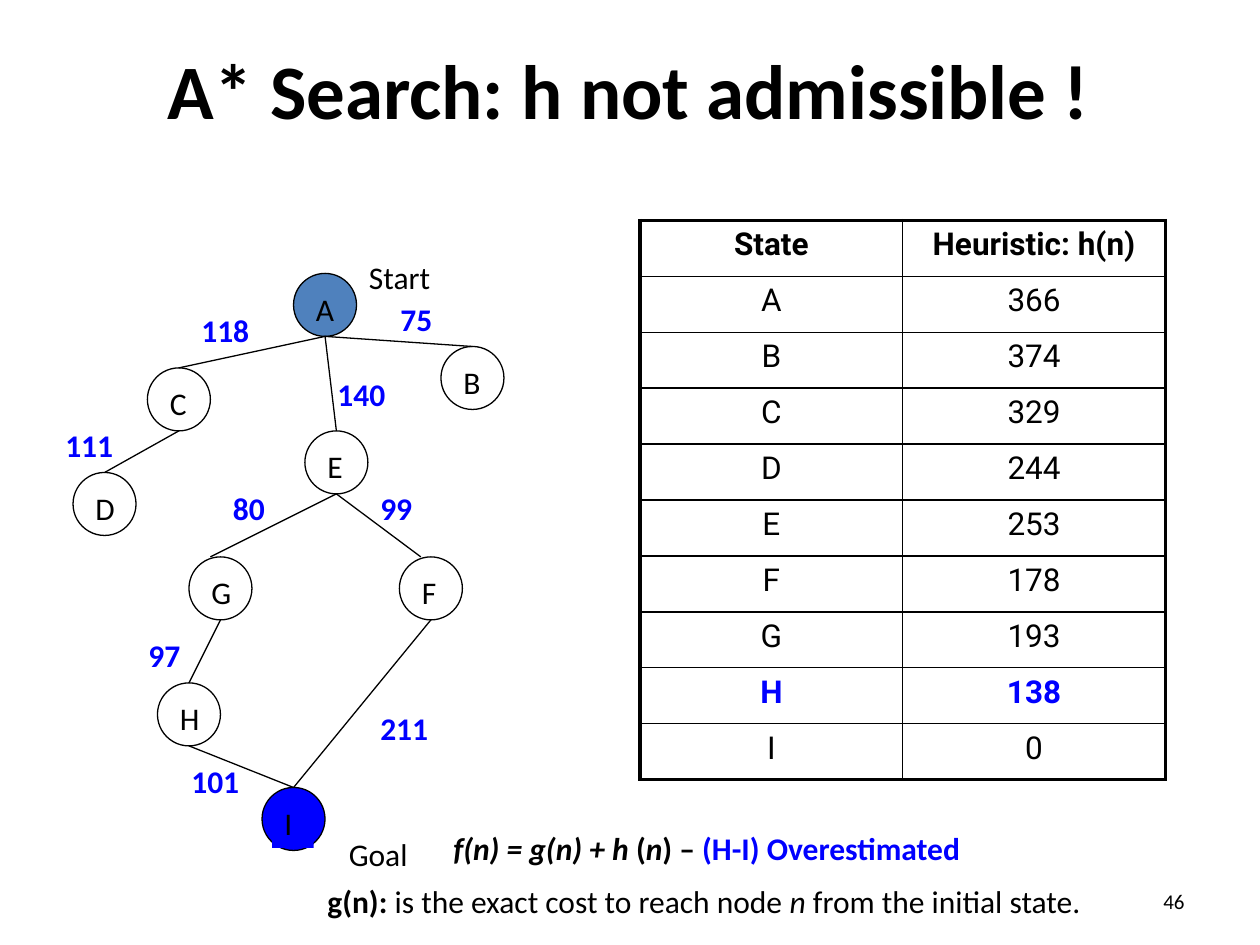
from lxml.etree import SubElement
from pptx import Presentation
from pptx.dml.color import RGBColor
from pptx.enum.shapes import MSO_CONNECTOR, MSO_SHAPE
from pptx.enum.text import MSO_ANCHOR, PP_ALIGN
from pptx.oxml.ns import qn
from pptx.util import Inches, Pt

BLACK = "000000"
BLUE = "0000FF"
DIAMETER = 0.5
LABEL_INSET = 0.08

NODES = {
    "A": (2.33, 2.17, "4F81BD"),
    "B": (3.5, 2.75, None),
    "D": (0.58, 3.75, None),
    "C": (1.17, 2.92, None),
    "E": (2.42, 3.42, None),
    "F": (3.17, 4.42, None),
    "I": (2.08, 6.25, BLUE),
    "G": (1.5, 4.42, None),
    "H": (1.25, 5.42, None),
}
EDGES = [
    ("E", "F", -0.08), ("F", "I", 0), ("E", "G", -0.08), ("G", "H", 0), ("H", "I", 0),
    ("A", "B", 0), ("A", "E", 0), ("A", "C", 0), ("C", "D", 0),
]
COSTS = [
    ("99", 2.92, 3.83, 0.67), ("211", 2.92, 5.58, 0.83), ("80", 1.75, 3.83, 0.67),
    ("97", 1.08, 5, 0.67), ("101", 1.42, 6, 0.92), ("75", 3.08, 2.33, 0.67),
    ("118", 1.5, 2.42, 0.83), ("111", 0.42, 3.33, 0.83), ("140", 2.58, 2.93, 0.83),
]
HEURISTICS = [
    ("State", "Heuristic: h(n)"), ("A", "366"), ("B", "374"), ("C", "329"), ("D", "244"),
    ("E", "253"), ("F", "178"), ("G", "193"), ("H", "138"), ("I", "0"),
]
FORMULA = [
    ("\tf(n) = g(n) + h ", True, True, BLACK),
    ("(", True, False, BLACK),
    ("n", True, True, BLACK),
    (") – ", True, False, BLACK),
    ("(H-I) Overestimated", True, False, BLUE),
]
DEFINITION = [
    ("g(n): ", True, False, BLACK),
    ("is the exact cost to reach node ", False, False, BLACK),
    ("n", False, True, BLACK),
    (" from the initial state.", False, False, BLACK),
]


def rgb(color):
    return RGBColor.from_string(color)


def set_font(font, size=18, color=BLACK, bold=False, italic=False, name="Calibri"):
    font.name = name
    font.size = Pt(size)
    font.color.rgb = rgb(color)
    font.bold = bold
    font.italic = italic


def add_label(shapes, text, left, top, width, color=BLACK, bold=False, size=18):
    label = shapes.add_textbox(Inches(left), Inches(top), Inches(width), Inches(0.4))
    label.text_frame.word_wrap = True
    paragraph = label.text_frame.paragraphs[0]
    paragraph.text = text
    set_font(paragraph.font, size, color, bold)
    return label


def add_node(shapes, name, left, top, color):
    node = shapes.add_group_shape()
    circle = node.shapes.add_shape(
        MSO_SHAPE.OVAL, Inches(left), Inches(top), Inches(DIAMETER), Inches(DIAMETER))
    circle.shadow.inherit = False
    circle.line.color.rgb = rgb(BLACK)
    circle.line.width = Pt(0.75)
    label = add_label(node.shapes, name, left + LABEL_INSET, top + LABEL_INSET, 0.33)
    if color is None:
        circle.fill.background()
    else:
        circle.fill.solid()
        circle.fill.fore_color.rgb = rgb(color)
    if color == BLUE:
        label.fill.solid()
        label.fill.fore_color.rgb = rgb(color)


def add_edge(shapes, parent, child, shift):
    parent_left, parent_top, _ = NODES[parent]
    child_left, child_top, _ = NODES[child]
    edge = shapes.add_connector(
        MSO_CONNECTOR.STRAIGHT,
        Inches(parent_left + DIAMETER / 2), Inches(parent_top + DIAMETER),
        Inches(child_left + DIAMETER / 2 + shift), Inches(child_top))
    edge.line.color.rgb = rgb(BLACK)
    edge.line.width = Pt(0.75)
    SubElement(edge._element.spPr, qn("a:effectLst"))


def add_border(cell, side, width):
    border = SubElement(cell._tc.get_or_add_tcPr(), qn(f"a:ln{side}"), w=str(Pt(width)))
    fill = SubElement(border, qn("a:solidFill"))
    SubElement(fill, qn("a:srgbClr"), val=BLACK)


def add_heuristics(shapes):
    rows, columns = len(HEURISTICS), len(HEURISTICS[0])
    table = shapes.add_table(
        rows, columns, Inches(5.08), Inches(1.75), Inches(4.17), Inches(4.44)).table
    table.first_row = False
    table.horz_banding = False
    for row, values in enumerate(HEURISTICS):
        for column, value in enumerate(values):
            cell = table.cell(row, column)
            outer_sides = {
                "L": column == 0, "R": column == columns - 1,
                "T": row == 0, "B": row == rows - 1,
            }
            for side, outer in outer_sides.items():
                add_border(cell, side, 2.25 if outer else 1)
            cell.fill.background()
            paragraph = cell.text_frame.paragraphs[0]
            paragraph.text = value
            paragraph.alignment = PP_ALIGN.CENTER
            overestimated = values[0] == "H"
            set_font(paragraph.font, color=BLUE if overestimated else BLACK,
                     bold=row == 0 or overestimated, name="Roboto")


def add_tab_stop(paragraph, position):
    tab_stops = SubElement(paragraph._p.get_or_add_pPr(), qn("a:tabLst"))
    SubElement(tab_stops, qn("a:tab"), pos=str(Inches(position)), algn="l")


def add_explanation(shapes):
    explanation = shapes.add_textbox(Inches(2.5), Inches(6.53), Inches(7.25), Inches(1.3))
    frame = explanation.text_frame
    frame.word_wrap = True
    formula, definition = frame.paragraphs[0], frame.add_paragraph()
    add_tab_stop(formula, 1)
    definition.space_before = Pt(9)
    for paragraph, pieces in ((formula, FORMULA), (definition, DEFINITION)):
        for text, bold, italic, color in pieces:
            run = paragraph.add_run()
            run.text = text
            set_font(run.font, color=color, bold=bold, italic=italic)


def add_title(slide):
    title = slide.shapes.title
    title.left, title.top = Inches(0.08), Inches(0.08)
    title.width, title.height = Inches(9.83), Inches(1.25)
    title.text_frame.vertical_anchor = MSO_ANCHOR.MIDDLE
    paragraph = title.text_frame.paragraphs[0]
    paragraph.text = "A* Search: h not admissible !"
    paragraph.alignment = PP_ALIGN.CENTER
    set_font(paragraph.font, size=44, bold=True)


def main():
    presentation = Presentation()
    presentation.slide_width, presentation.slide_height = Inches(10), Inches(7.5)
    slide = presentation.slides.add_slide(presentation.slide_layouts[5])
    shapes = slide.shapes
    add_title(slide)
    add_heuristics(shapes)
    page_number = add_label(shapes, "46", 7.17, 6.95, 2.33, size=12)
    page_number.text_frame.vertical_anchor = MSO_ANCHOR.MIDDLE
    page_number.text_frame.paragraphs[0].alignment = PP_ALIGN.RIGHT
    for name, (left, top, color) in NODES.items():
        add_node(shapes, name, left, top, color)
    for parent, child, shift in EDGES:
        add_edge(shapes, parent, child, shift)
    add_label(shapes, "Start", 2.83, 2, 1.33)
    add_label(shapes, "Goal", 2.67, 6.58, 1.33)
    for cost, left, top, width in COSTS:
        add_label(shapes, cost, left, top, width, BLUE, bold=True)
    add_explanation(shapes)
    presentation.save("out.pptx")


if __name__ == "__main__":
    main()
